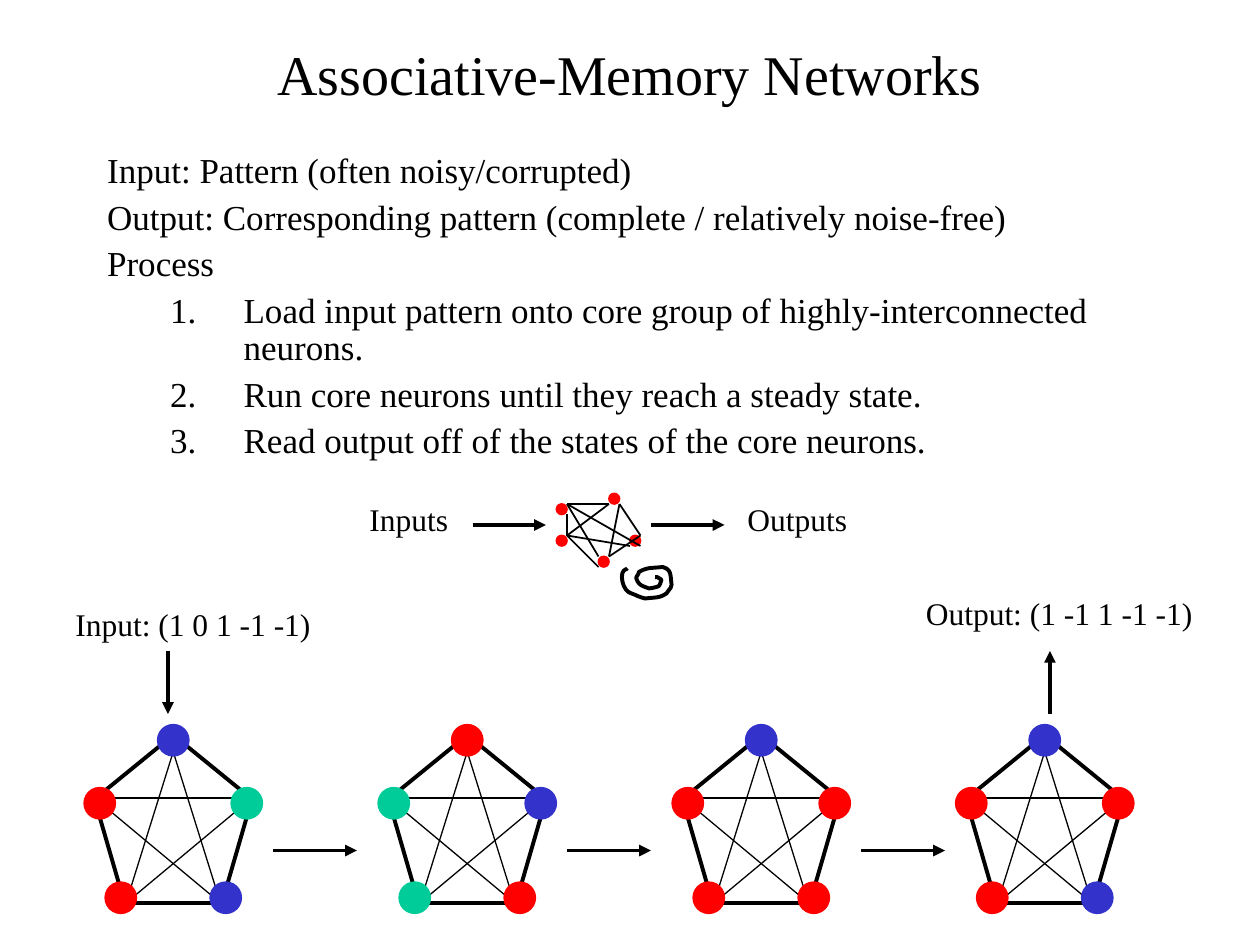
from dataclasses import dataclass

from lxml import etree
from pptx import Presentation
from pptx.dml.color import RGBColor
from pptx.enum.shapes import MSO_CONNECTOR, MSO_SHAPE
from pptx.enum.text import MSO_ANCHOR, MSO_AUTO_SIZE, PP_ALIGN
from pptx.oxml.ns import qn
from pptx.util import Inches, Pt

STRAIGHT = MSO_CONNECTOR.STRAIGHT
ELLIPSE = MSO_SHAPE.OVAL
PENTAGON = MSO_SHAPE.REGULAR_PENTAGON
CENTER, LEFT = PP_ALIGN.CENTER, PP_ALIGN.LEFT
TOP, MIDDLE = MSO_ANCHOR.TOP, MSO_ANCHOR.MIDDLE
NO_AUTOFIT = MSO_AUTO_SIZE.NONE
COLUMNS = 120


@dataclass(frozen=True)
class Theme:
    font: str = "Times New Roman"
    ink: str = "000000"
    red: str = "FF0000"
    blue: str = "3333CC"
    green: str = "00CC99"
    title: int = 32
    body: int = 20
    label: int = 18
    thin: float = 0.75
    medium: float = 1
    thick: float = 2.25


class SlideBuilder:
    def __init__(self, presentation, theme):
        self.theme = theme
        self.cell = presentation.slide_width / COLUMNS
        self.slide = presentation.slides.add_slide(presentation.slide_layouts[1])
        self.shapes = self.slide.shapes

    def grid(self, *values):
        return [round(value * self.cell) for value in values]

    def start_group(self):
        self.shapes = self.slide.shapes.add_group_shape().shapes

    def end_group(self):
        self.shapes = self.slide.shapes

    def place(self, shape, box):
        for name, value in zip(("left", "top", "width", "height"), self.grid(*box)):
            setattr(shape, name, value)

    def style_frame(self, frame, wrap=True, anchor=TOP):
        settings = {"word_wrap": wrap, "auto_size": NO_AUTOFIT, "vertical_anchor": anchor}
        for name, value in settings.items():
            setattr(frame, name, value)

    def add_text(self, paragraph, text, size, **settings):
        run = paragraph.add_run()
        run.text = text
        for name, value in {"name": self.theme.font, "size": Pt(size)}.items():
            setattr(run.font, name, value)
        run.font.color.rgb = RGBColor.from_string(self.theme.ink)
        for name, value in settings.items():
            setattr(paragraph, name, value)

    def title(self, text, box):
        shape = self.slide.shapes.title
        self.place(shape, box)
        self.style_frame(shape.text_frame, anchor=MIDDLE)
        self.add_text(shape.text_frame.paragraphs[0], text, self.theme.title, alignment=CENTER)

    def body(self, items, box):
        shape = self.slide.placeholders[1]
        self.place(shape, box)
        frame = shape.text_frame
        self.style_frame(frame)
        for index, (text, level) in enumerate(items):
            paragraph = frame.add_paragraph() if index else frame.paragraphs[0]
            self.add_text(paragraph, text, self.theme.body, level=level, alignment=LEFT,
                          line_spacing=0.9, space_before=Pt(5))
            properties = paragraph._p.get_or_add_pPr()
            margin, indent = ((8, -8), (13, -7))[level]
            for name, value in zip(("marL", "indent"), self.grid(margin, indent)):
                properties.set(name, str(value))
            if level:
                etree.SubElement(properties, qn("a:buFont"), typeface=self.theme.font)
                etree.SubElement(properties, qn("a:buAutoNum"), type="arabicPeriod")
            else:
                etree.SubElement(properties, qn("a:buNone"))

    def label(self, text, box):
        frame = self.shapes.add_textbox(*self.grid(*box)).text_frame
        self.style_frame(frame, wrap=False)
        self.add_text(frame.paragraphs[0], text, self.theme.label)

    def outline(self, shape, color, width):
        shape.line.color.rgb = RGBColor.from_string(color)
        shape.line.width = Pt(width)

    def finish(self, shape, fill, color, width):
        shape.shadow.inherit = False
        if fill:
            shape.fill.solid()
            shape.fill.fore_color.rgb = RGBColor.from_string(fill)
        else:
            shape.fill.background()
        self.outline(shape, color, width)

    def dot(self, column, row, size, color, width):
        shape = self.shapes.add_shape(ELLIPSE, *self.grid(column, row, size, size))
        self.finish(shape, color, color, width)

    def pentagon(self, box):
        shape = self.shapes.add_shape(PENTAGON, *self.grid(*box))
        self.finish(shape, None, self.theme.ink, self.theme.thick)

    def line(self, points, width, arrow=False):
        connector = self.shapes.add_connector(STRAIGHT, *self.grid(*points))
        self.outline(connector, self.theme.ink, width)
        properties = connector.element.spPr
        if arrow:
            etree.SubElement(properties.find(qn("a:ln")), qn("a:tailEnd"), type="triangle")
        etree.SubElement(properties, qn("a:effectLst"))

    def arrow(self, *points):
        self.line(points, self.theme.thick, arrow=True)

    def curve(self, start, segments, steps=6):
        points, origin = [], start
        for segment in segments:
            corners = (origin, segment[:2], segment[2:4], segment[4:])
            for step in range(1, steps + 1):
                t = step / steps
                weights = ((1 - t) ** 3, 3 * t * (1 - t) ** 2, 3 * t * t * (1 - t), t ** 3)
                points.append(tuple(sum(weight * corner[axis] for weight, corner in zip(weights, corners))
                                    for axis in (0, 1)))
            origin = segment[4:]
        unit = Inches(1)
        outline = self.shapes.build_freeform(round(start[0] * unit), round(start[1] * unit))
        outline.add_line_segments([(round(x * unit), round(y * unit)) for x, y in points], close=False)
        self.finish(outline.convert_to_shape(), None, self.theme.ink, self.theme.thick)

    def network(self, left, colors):
        self.start_group()
        self.pentagon((left, 70, 15, 16))
        for x1, y1, x2, y2 in STAR_LINES:
            self.line((left + x1, y1, left + x2, y2), self.theme.thin)
        for (column, row), color in zip(NEURONS, colors):
            self.dot(left + column, row, 3, color, self.theme.thin)
        self.end_group()


STAR_LINES = ((3, 86, 8, 70), (12, 86, 0, 76), (0, 76, 15, 76), (15, 76, 3, 86), (7, 70, 12, 86))
NEURONS = ((6, 69), (13, 75), (11, 84), (1, 84), (-1, 75))
CORE_NEURONS = ((53, 48), (53, 51), (57, 53), (60, 51), (58, 47))
CORE_LINES = (
    (58, 53, 59, 48), (54, 51, 54, 49), (57, 53, 54, 48), (58, 53, 61, 51), (61, 51, 59, 48),
    (54, 51, 58, 48), (54, 48, 58, 48), (54, 51, 60, 52), (61, 52, 54, 48), (57, 54, 54, 51),
)
SPIRAL_START = (4.98, 4.51)
SPIRAL = (
    (4.97, 4.52, 4.96, 4.52, 4.95, 4.53), (4.92, 4.56, 4.94, 4.67, 4.99, 4.7),
    (5.01, 4.71, 5.04, 4.72, 5.06, 4.73), (5.08, 4.74, 5.12, 4.75, 5.12, 4.75),
    (5.2, 4.74, 5.23, 4.75, 5.29, 4.71), (5.33, 4.65, 5.32, 4.68, 5.33, 4.64),
    (5.32, 4.56, 5.33, 4.52, 5.26, 4.5), (5.17, 4.51, 5.14, 4.5, 5.07, 4.54),
    (5.07, 4.56, 5.05, 4.57, 5.05, 4.59), (5.07, 4.65, 5.1, 4.65, 5.15, 4.67),
    (5.16, 4.67, 5.22, 4.66, 5.23, 4.65), (5.24, 4.64, 5.25, 4.6, 5.25, 4.6),
    (5.21, 4.58, 5.23, 4.58, 5.2, 4.58),
)
BODY = (
    ("Input: Pattern (often noisy/corrupted)", 0),
    ("Output: Corresponding pattern (complete / relatively noise-free)", 0),
    ("Process", 0),
    ("Load input pattern onto core group of highly-interconnected neurons.", 1),
    ("Run core neurons until they reach a steady state.", 1),
    ("Read output off of the states of the core neurons.", 1),
)

presentation = Presentation()
presentation.slide_width, presentation.slide_height = Inches(10), Inches(7.5)
theme = Theme()
builder = SlideBuilder(presentation, theme)
builder.title("Associative-Memory Networks", (9, 3, 102, 8))
builder.body(BODY, (9, 14, 102, 33))

builder.start_group()
for column, row in CORE_NEURONS:
    builder.dot(column, row, 1, theme.red, theme.medium)
for points in CORE_LINES:
    builder.line(points, theme.medium)
builder.label("Inputs", (34, 47, 9.8, 4.8))
builder.label("Outputs", (70, 47, 11.9, 4.8))
for column in (45, 62):
    builder.arrow(column, 50, column + 7, 50)
builder.curve(SPIRAL_START, SPIRAL)
builder.end_group()

red, blue, green = theme.red, theme.blue, theme.green
for left, colors in (
    (9, (blue, green, blue, red, red)),
    (37, (red, blue, red, green, green)),
    (65, (blue, red, red, red, red)),
    (92, (blue, red, blue, red, red)),
):
    builder.network(left, colors)
for column in (26, 54, 82):
    builder.arrow(column, 81, column + 8, 81)

builder.label("Input: (1 0 1 -1 -1)", (6, 57, 24.8, 4.8))
builder.arrow(16, 62, 16, 68)
builder.label("Output: (1 -1 1 -1 -1)", (87, 56, 27.8, 4.8))
builder.arrow(100, 68, 100, 62)
presentation.save("out.pptx")
